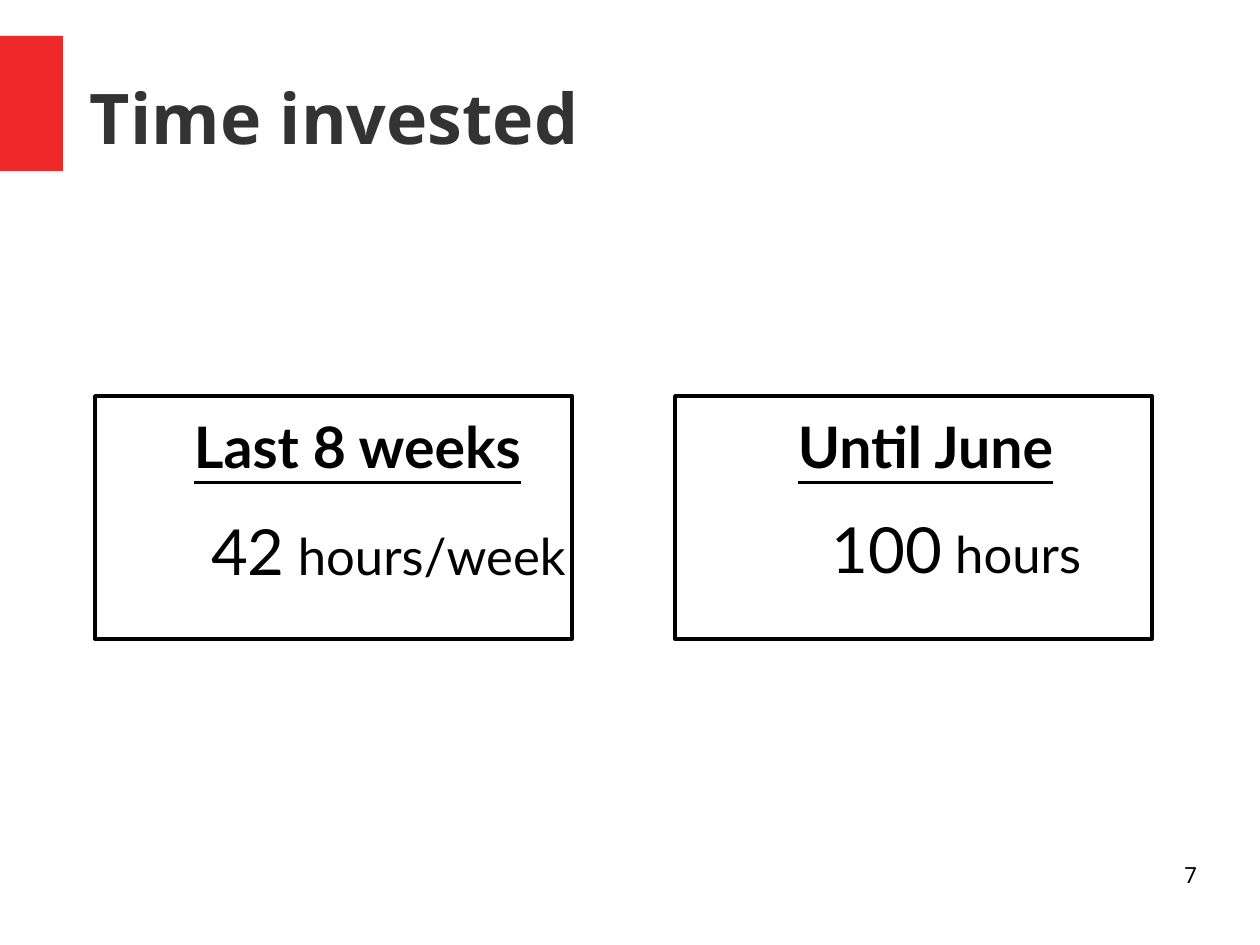
import pptx
import pptx.dml.color
import pptx.enum.shapes
import pptx.enum.text
import pptx.util

EMU_PER_PX = 8000
ALIGN = pptx.enum.text.PP_ALIGN
ANCHOR = pptx.enum.text.MSO_ANCHOR


def color(value):
    return pptx.dml.color.RGBColor.from_string(value)


def px(value):
    return pptx.util.Emu(value * EMU_PER_PX)


class SlideBuilder:
    black = "000000"
    dark = "333333"
    red = "EF2929"
    title_font = "Noto Sans"
    body_font = "Lato"
    line_width = 2.3

    def __init__(self, slide):
        self.slide = slide

    def rectangle(self, left, top, width, height, fill=None, line=None):
        shape = self.slide.shapes.add_shape(
            pptx.enum.shapes.MSO_SHAPE.RECTANGLE,
            px(left), px(top), px(width), px(height))
        shape.shadow.inherit = False
        if fill:
            shape.fill.solid()
            shape.fill.fore_color.rgb = color(fill)
        else:
            shape.fill.background()
        if line:
            shape.line.color.rgb = color(line)
            shape.line.width = pptx.util.Pt(self.line_width)
        else:
            shape.line.fill.background()

    def text(self, left, top, width, height, runs, font=body_font, fill=black,
             align=ALIGN.CENTER, anchor=ANCHOR.TOP, inset=(11, 6),
             bold=False, underline=False):
        shape = self.slide.shapes.add_textbox(px(left), px(top), px(width), px(height))
        frame = shape.text_frame
        frame.word_wrap = True
        frame.vertical_anchor = anchor
        frame.margin_left = frame.margin_right = px(inset[0])
        frame.margin_top = frame.margin_bottom = px(inset[1])
        paragraph = frame.paragraphs[0]
        paragraph.alignment = align
        for words, size in runs:
            run = paragraph.add_run()
            run.text = words
            run.font.name = font
            run.font.size = pptx.util.Pt(size)
            run.font.bold = bold
            run.font.underline = underline
            run.font.color.rgb = color(fill)


def main():
    presentation = pptx.Presentation()
    presentation.slide_width = px(1260)
    presentation.slide_height = px(945)
    builder = SlideBuilder(presentation.slides.add_slide(presentation.slide_layouts[6]))

    builder.rectangle(0, 36, 63, 135, fill=builder.red)
    builder.text(90, 38, 1106, 158, [("Time invested", 44)], font=builder.title_font,
                 fill=builder.dark, align=ALIGN.LEFT, anchor=ANCHOR.MIDDLE,
                 inset=(0, 0), bold=True)

    cards = [
        (95, "Last 8 weeks", (74, 405, 567, 144),
         "42", " hours/week", (112, 506, 553, 159)),
        (675, "Until June", (687, 405, 477, 89),
         "100", " hours", (718, 504, 477, 107)),
    ]
    for left, heading, heading_box, amount, unit, amount_box in cards:
        builder.text(*heading_box, [(heading, 36)], bold=True, underline=True)
        builder.text(*amount_box, [(amount, 40), (unit, 32)])
        builder.rectangle(left, 396, 477, 243, line=builder.black)

    builder.text(903, 861, 294, 65, [("7", 14)], font=builder.title_font,
                 align=ALIGN.RIGHT, inset=(0, 0))
    presentation.save("out.pptx")


if __name__ == "__main__":
    main()
